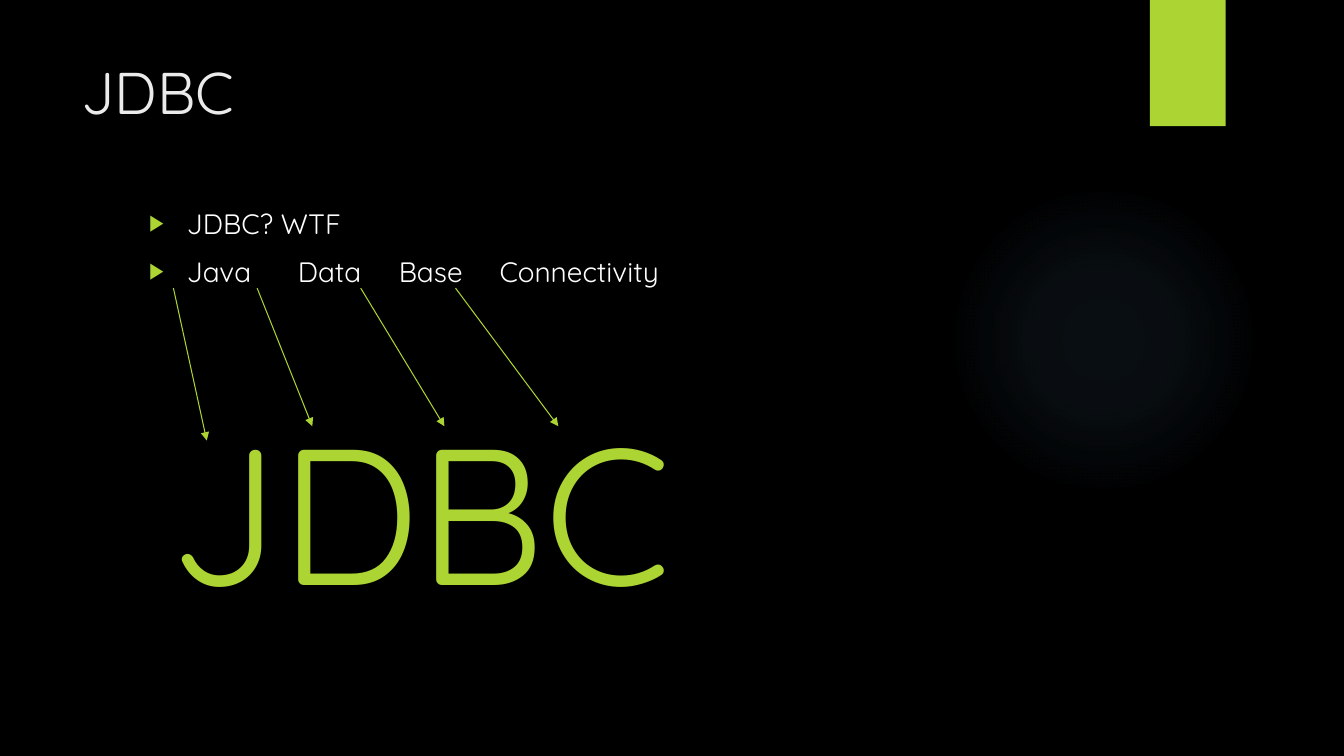
import pptx
import pptx.dml.color
import pptx.enum.shapes
import pptx.enum.text
import pptx.oxml
import pptx.oxml.ns
import pptx.util
from pptx.util import Cm

COLOURS = {
    "background": "000000",
    "accent": "ACD433",
    "title": "EBEBEB",
    "body": "FFFFFF",
    "glow": "7AC4F0",
}
FONT = "Quicksand"
SHAPES = pptx.enum.shapes.MSO_SHAPE
ALIGN = pptx.enum.text.PP_ALIGN
NAMESPACE = pptx.oxml.ns.nsdecls("a")


def colour(name):
    return pptx.dml.color.RGBColor.from_string(COLOURS[name])


def drawing_element(tag, content="", **attributes):
    values = " ".join(f'{key}="{value}"' for key, value in attributes.items())
    return pptx.oxml.parse_xml(f"<a:{tag} {NAMESPACE} {values}>{content}</a:{tag}>")


def write(para, text, size, ink, align=ALIGN.LEFT, space_before=0):
    """Put one formatted run into a paragraph."""
    para.alignment = align
    para.space_before = pptx.util.Pt(space_before)
    span = para.add_run()
    span.text = text
    span.font.size = pptx.util.Pt(size)
    span.font.name = FONT
    span.font.color.rgb = colour(ink)


def add_bullet(para, indent, tab_stops=()):
    """Give a paragraph a hanging triangle bullet and its tab stops."""
    properties = para._p.get_or_add_pPr()
    properties.set("marL", str(Cm(indent)))
    properties.set("indent", str(-Cm(indent)))
    properties.append(drawing_element(
        "buClr", f'<a:srgbClr val="{COLOURS["accent"]}"/>'))
    properties.append(drawing_element("buSzPct", val=80000))
    properties.append(drawing_element("buFont", typeface="Arial"))
    properties.append(drawing_element("buChar", char="▶"))
    if tab_stops:
        properties.append(drawing_element("tabLst", "".join(
            f'<a:tab pos="{Cm(stop)}" algn="l"/>' for stop in tab_stops)))


class SlideBuilder:
    def __init__(self, deck):
        self.page = deck.slides.add_slide(deck.slide_layouts[6])
        fill = self.page.background.fill
        fill.solid()
        fill.fore_color.rgb = colour("background")

    def shape(self, kind, left, top, width, height, ink):
        box = self.page.shapes.add_shape(
            kind, Cm(left), Cm(top), Cm(width), Cm(height))
        box.shadow.inherit = False
        box.fill.solid()
        box.fill.fore_color.rgb = colour(ink)
        box.line.fill.background()
        return box

    def glow(self, left, top, size, stops):
        """Draw a circle that fades outwards through (position, opacity) stops."""
        circle = self.shape(SHAPES.OVAL, left, top, size, size, "glow")
        marks = "".join(
            f'<a:gs pos="{position * 1000}"><a:srgbClr val="{COLOURS["glow"]}">'
            f'<a:alpha val="{opacity * 1000}"/></a:srgbClr></a:gs>'
            for position, opacity in stops)
        gradient = drawing_element(
            "gradFill",
            f'<a:gsLst>{marks}</a:gsLst><a:path path="circle">'
            '<a:fillToRect l="50000" t="50000" r="50000" b="50000"/></a:path>')
        properties = circle._element.spPr
        solid = properties.find(pptx.oxml.ns.qn("a:solidFill"))
        properties.replace(solid, gradient)

    def text_box(self, left, top, width, height, wrap=True):
        box = self.page.shapes.add_textbox(
            Cm(left), Cm(top), Cm(width), Cm(height))
        box.text_frame.word_wrap = wrap
        return box.text_frame

    def arrow(self, start, end):
        connector = self.page.shapes.add_connector(
            pptx.enum.shapes.MSO_CONNECTOR.STRAIGHT, *map(Cm, start + end))
        connector.line.color.rgb = colour("accent")
        connector.line.width = pptx.util.Pt(0.75)
        outline = connector._element.spPr.find(pptx.oxml.ns.qn("a:ln"))
        outline.append(drawing_element("tailEnd", type="triangle"))
        connector._element.spPr.append(drawing_element("effectLst"))


def main():
    deck = pptx.Presentation()
    deck.slide_width, deck.slide_height = Cm(33.87), Cm(19.05)
    slide = SlideBuilder(deck)

    slide.glow(23.9, 4.65, 7.82, [(0, 7), (36, 6), (69, 0)])
    slide.shape(SHAPES.RECTANGLE, 28.98, 0, 1.91, 3.18, "accent")

    title = slide.text_box(1.8, 1.27, 26.14, 3.89)
    write(title.paragraphs[0], "JDBC", 42, "title")

    body = slide.text_box(3.51, 5.08, 23.88, 2.54)
    question = body.paragraphs[0]
    write(question, "JDBC? WTF", 20, "body", space_before=10)
    add_bullet(question, 0.95)
    meaning = body.add_paragraph()
    words = ["Java", "Data", "Base", "Connectivity"]
    write(meaning, "\t".join(words), 20, "body", space_before=10)
    add_bullet(meaning, 0.95, [3.75 + 2.54 * step for step in range(3)])

    acronym = slide.text_box(3.91, 9.75, 13.36, 6.15, wrap=False)
    acronym.auto_size = pptx.enum.text.MSO_AUTO_SIZE.SHAPE_TO_FIT_TEXT
    write(acronym.paragraphs[0], "JDBC", 138, "accent", align=ALIGN.CENTER)

    word_bottom = 7.26
    for start_x, end_x, end_y in [(4.37, 5.21, 11.1), (6.48, 7.87, 10.74),
                                  (9.09, 11.2, 10.74), (11.48, 14.07, 10.74)]:
        slide.arrow((start_x, word_bottom), (end_x, end_y))

    deck.save("out.pptx")


if __name__ == "__main__":
    main()
